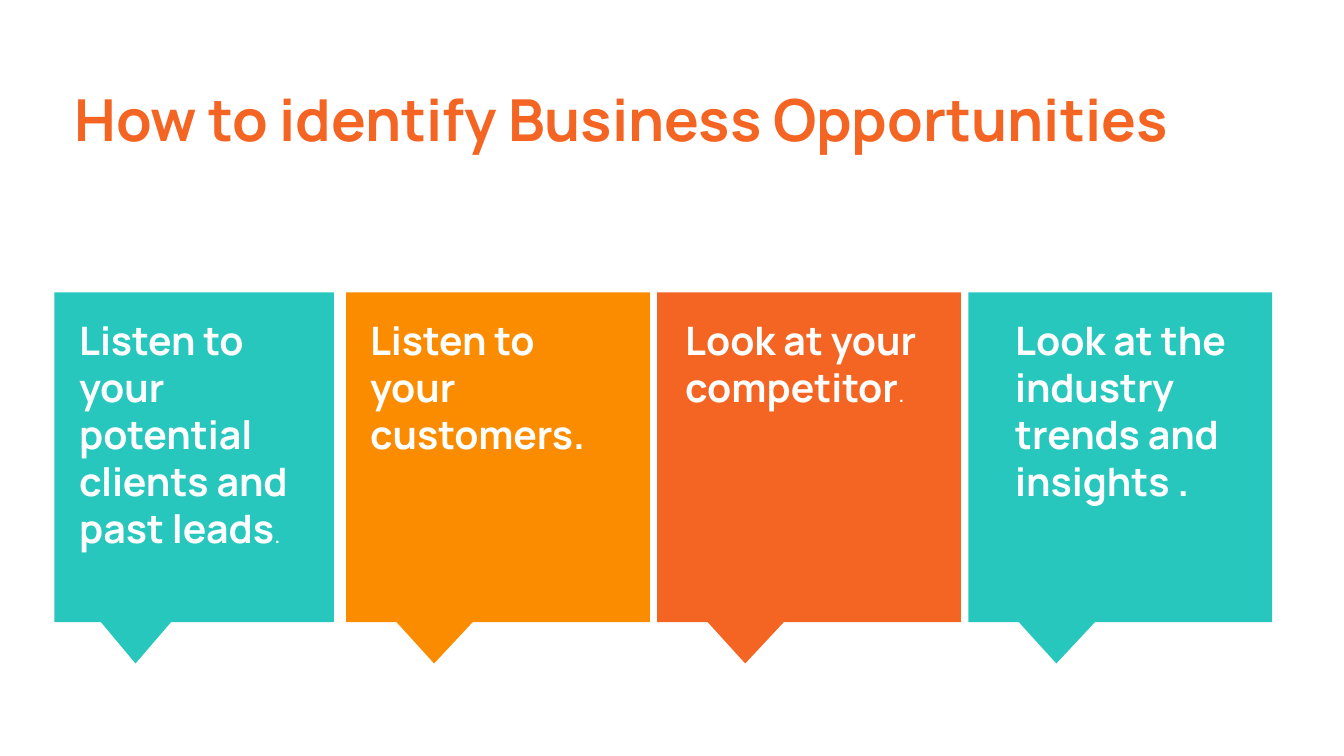
from dataclasses import dataclass

from pptx import Presentation
from pptx.dml.color import RGBColor
from pptx.enum.shapes import MSO_SHAPE
from pptx.enum.text import MSO_ANCHOR
from pptx.util import Pt

CALLOUT = MSO_SHAPE.RECTANGULAR_CALLOUT
TOP = MSO_ANCHOR.TOP
PX = 4572


@dataclass(frozen=True)
class Theme:
    """Hold the colours, font and type sizes of the slide."""
    font: str = "Manrope"
    teal: str = "27C7BD"
    amber: str = "FB8C00"
    orange: str = "F46524"
    white: str = "FFFFFF"
    title: int = 31
    body: int = 21
    dot: int = 14


THEME = Theme()


def scale(*sizes):
    """Turn px lengths into EMU."""
    return [size * PX for size in sizes]


def add_text(slide, box, text, size, color, after=12, tail=""):
    """Place bold text in a box, with an optional small plain tail."""
    frame = slide.shapes.add_textbox(*scale(*box)).text_frame
    frame.word_wrap = True
    frame.vertical_anchor = TOP
    frame.margin_left = frame.margin_right = 20 * PX
    frame.margin_top = frame.margin_bottom = 20 * PX
    para = frame.paragraphs[0]
    para.space_after = Pt(after)
    parts = [(text, size, True)]
    if tail:
        parts.append((tail, THEME.dot, False))
    for words, points, bold in parts:
        run = para.add_run()
        run.text = words
        run.font.name = THEME.font
        run.font.size = Pt(points)
        run.font.bold = bold
        run.font.color.rgb = RGBColor.from_string(color)


def add_card(slide, box, fill, text, inset, wide, tail=""):
    """Draw a callout in the box and its text relative to it."""
    left, top, width, height = box
    card = slide.shapes.add_shape(CALLOUT, *scale(left, top, width, height))
    card.adjustments[0] = -0.21
    card.adjustments[1] = 0.625
    card.shadow.inherit = False
    card.fill.solid()
    card.fill.fore_color.rgb = RGBColor.from_string(fill)
    card.line.fill.background()
    add_text(slide, (left + inset, top + 16, wide, height - 53), text,
             THEME.body, THEME.white, tail=tail)


def add_cards(slide, box):
    """Lay four callouts in a row, the last three on an equal pitch."""
    left, top, width, height = box
    wide, pitch = 452, 463
    start = left + width - wide - 2 * pitch
    cards = [
        (left, 416, THEME.teal,
         "Listen to your potential clients and past leads", 17, 416, "."),
        (start, wide, THEME.amber, "Listen to your customers.", 16, 404, ""),
        (start + pitch, wide, THEME.orange,
         "Look at your competitor", 22, 428, "."),
        (start + 2 * pitch, wide, THEME.teal,
         "Look at the industry trends and insights .", 50, 428, ""),
    ]
    for x, span, fill, text, inset, room, tail in cards:
        add_card(slide, (x, top, span, height), fill, text, inset, room, tail)


def main():
    """Build and save the slide."""
    deck = Presentation()
    deck.slide_width, deck.slide_height = scale(2000, 1125)
    slide = deck.slides.add_slide(deck.slide_layouts[6])
    add_cards(slide, (81, 435, 1812, 491))
    add_text(slide, (91, 104, 1804, 144),
             "How to identify Business Opportunities",
             THEME.title, THEME.orange, after=16)
    deck.save("out.pptx")


if __name__ == "__main__":
    main()
